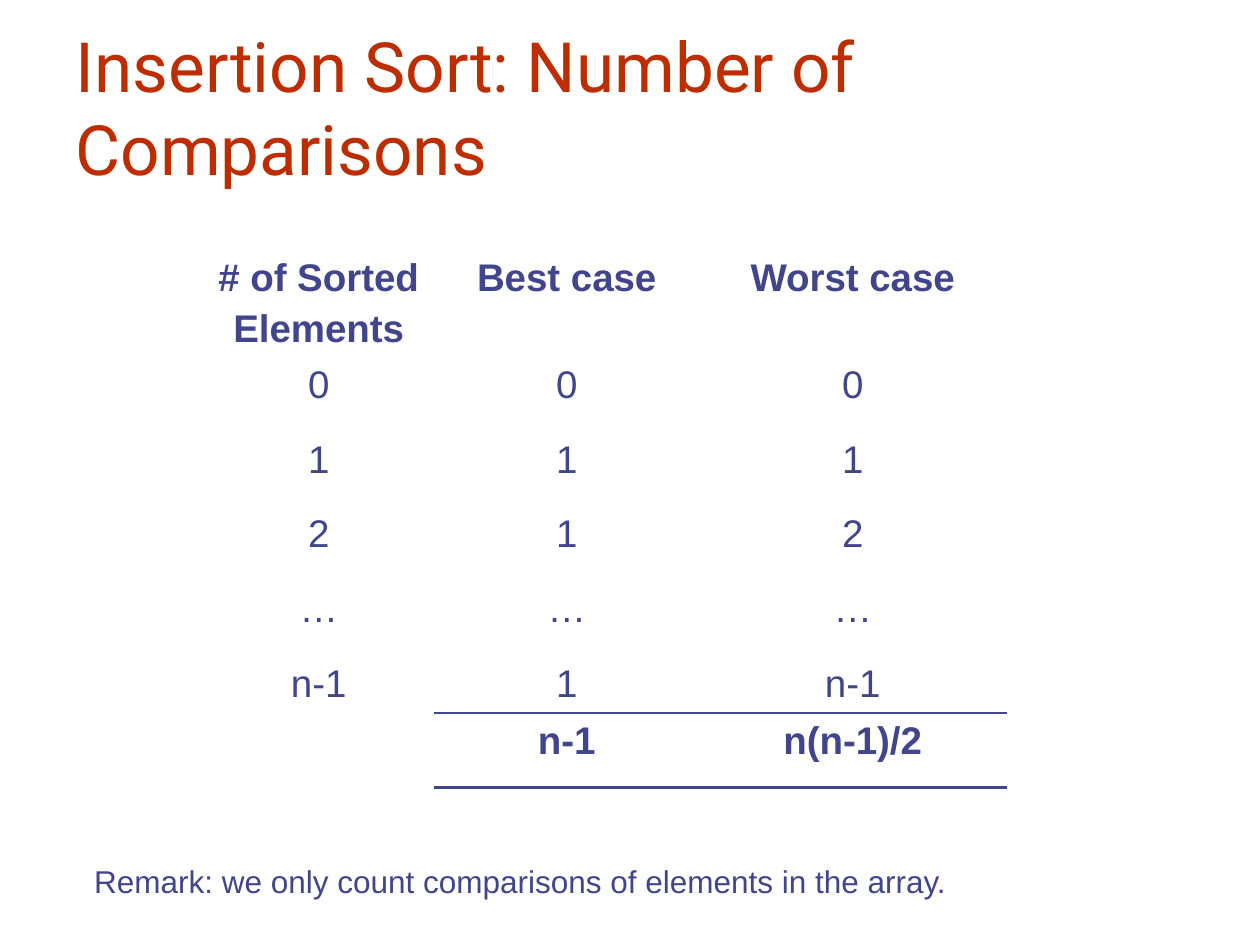
from dataclasses import dataclass
from lxml.etree import SubElement
from pptx import Presentation
from pptx.dml.color import RGBColor
from pptx.enum.text import MSO_ANCHOR, MSO_AUTO_SIZE, PP_ALIGN
from pptx.oxml.ns import qn
from pptx.util import Cm, Pt


@dataclass(frozen=True)
class Theme:
    """Colours, fonts and type sizes of the slide."""
    red: str = "BE2D00"
    blue: str = "40458C"
    head: str = "Roboto"
    body: str = "Arial"
    big: float = 39.6
    mid: float = 22
    small: float = 18
    thin: float = 1
    thick: float = 2.25


THEME = Theme()
COLS = (4.67, 5.33, 6.2)
HEIGHTS = (2.11, 1.51, 1.51, 1.51, 1.51, 1.14, 1.5)
ROWS = (
    ("# of Sorted\nElements", "Best case", "Worst case"),
    ("0", "0", "0"),
    ("1", "1", "1"),
    ("2", "1", "2"),
    ("…", "…", "…"),
    ("n-1", "1", "n-1"),
    ("", "n-1", "n(n-1)/2"),
)


def style(para, face, size, color, bold=False):
    """Format every run of a paragraph."""
    for run in para.runs:
        font = run.font
        font.name, font.size, font.bold = face, Pt(size), bold
        font.color.rgb = RGBColor.from_string(color)


def rule(cell, side, width):
    """Draw one border of a cell."""
    line = SubElement(cell._tc.get_or_add_tcPr(), qn(f"a:ln{side}"),
                      w=str(Pt(width)))
    fill = SubElement(line, qn("a:solidFill"))
    SubElement(fill, qn("a:srgbClr"), val=THEME.blue)


def add_title(slide, text):
    """Fill and place the title."""
    title = slide.shapes.title
    title.left, title.top = Cm(1.27), Cm(0.33)
    title.width, title.height = Cm(20.96), Cm(3.61)
    frame = title.text_frame
    frame.text = text
    frame.auto_size = MSO_AUTO_SIZE.NONE
    frame.vertical_anchor = MSO_ANCHOR.BOTTOM
    para = frame.paragraphs[0]
    para.alignment = PP_ALIGN.LEFT
    style(para, THEME.head, THEME.big, THEME.red)


def fill_cell(cell, text, bold):
    """Write centred text in a clear cell."""
    cell.fill.background()
    cell.text_frame.text = text
    for para in cell.text_frame.paragraphs:
        para.alignment = PP_ALIGN.CENTER
        para.space_before = Pt(THEME.mid * 0.2)
        style(para, THEME.body, THEME.mid, THEME.blue, bold)


def add_counts(slide):
    """Build the table of comparison counts with its total row."""
    last = len(ROWS) - 1
    table = slide.shapes.add_table(
        len(ROWS), len(COLS), Cm(4.09), Cm(5.05),
        Cm(sum(COLS)), Cm(sum(HEIGHTS))).table
    table.first_row = table.horz_banding = False
    for col, width in zip(table.columns, COLS):
        col.width = Cm(width)
    for row, height in zip(table.rows, HEIGHTS):
        row.height = Cm(height)
    for c in range(1, len(COLS)):
        rule(table.cell(last - 1, c), "B", THEME.thin)
        rule(table.cell(last, c), "T", THEME.thin)
        rule(table.cell(last, c), "B", THEME.thick)
    for r, row in enumerate(ROWS):
        for c, text in enumerate(row):
            fill_cell(table.cell(r, c), text, r in (0, last))


def add_remark(slide, text):
    """Add the remark under the table."""
    box = slide.shapes.add_textbox(Cm(1.65), Cm(17.25), Cm(17.73), Cm(1.02))
    frame = box.text_frame
    frame.text = text
    frame.word_wrap = False
    frame.auto_size = MSO_AUTO_SIZE.SHAPE_TO_FIT_TEXT
    style(frame.paragraphs[0], THEME.body, THEME.small, THEME.blue)


def main():
    """Build and save the slide."""
    deck = Presentation()
    deck.slide_width, deck.slide_height = Cm(25.4), Cm(19.05)
    slide = deck.slides.add_slide(deck.slide_layouts[5])
    add_title(slide, "Insertion Sort: Number of Comparisons")
    add_counts(slide)
    add_remark(slide, "Remark: we only count comparisons of elements "
                      "in the array.")
    deck.save("out.pptx")


if __name__ == "__main__":
    main()
